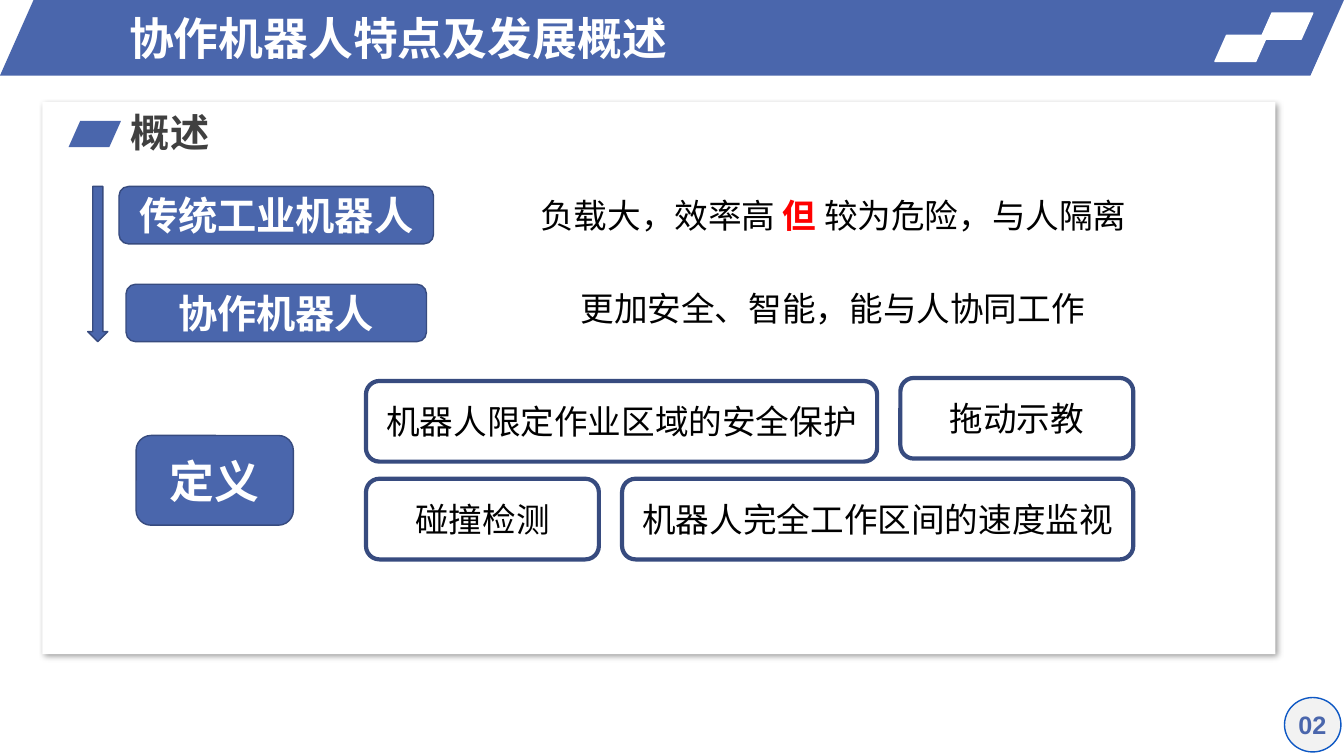
"""Builds the overview slide on collaborative robots."""
from lxml import etree
from pptx import Presentation
from pptx.dml.color import RGBColor
from pptx.enum.shapes import MSO_SHAPE
from pptx.enum.text import MSO_ANCHOR, MSO_AUTO_SIZE, PP_ALIGN
from pptx.oxml import parse_xml
from pptx.oxml.ns import nsdecls, qn
from pptx.util import Inches, Pt

SLANTED, ROUNDED = MSO_SHAPE.PARALLELOGRAM, MSO_SHAPE.ROUNDED_RECTANGLE
ARROW, OVAL = MSO_SHAPE.DOWN_ARROW, MSO_SHAPE.OVAL
TOP, MIDDLE = MSO_ANCHOR.TOP, MSO_ANCHOR.MIDDLE
LEFT, CENTER = PP_ALIGN.LEFT, PP_ALIGN.CENTER
FIXED = MSO_AUTO_SIZE.NONE

BLUE = RGBColor(0x4A, 0x66, 0xAC)
NAVY = RGBColor(0x37, 0x4B, 0x7F)
RING = RGBColor(0x0E, 0x58, 0xC4)
WHITE = RGBColor(0xFF, 0xFF, 0xFF)
PALE = RGBColor(0xF2, 0xF2, 0xF2)
DARK = RGBColor(0x40, 0x40, 0x40)
BLACK = RGBColor(0, 0, 0)
RED = RGBColor(0xFF, 0, 0)
LATIN, CJK = "Arial", "Noto Sans CJK SC"

TITLE = "协作机器人特点及发展概述"
SECTION = "概述"
PAGE = "02"
STAGES = [
    {"name": "传统工业机器人", "width": 3.12, "trait_left": 5.26, "trait_top": 1.88,
     "trait": [("负载大，效率高 ", BLACK, False), ("但", RED, True),
               (" 较为危险，与人隔离", BLACK, False)]},
    {"name": "协作机器人", "width": 2.98, "trait_left": 5.66, "trait_top": 2.81,
     "trait": [("更加安全、智能，能与人协同工作", BLACK, False)]},
]
DEFINITION = "定义"
WIDE, NARROW = 5.07, 2.31
FEATURE_ROWS = [
    [("机器人限定作业区域的安全保护", WIDE, 3.78), ("拖动示教", NARROW, 3.75)],
    [("碰撞检测", NARROW, 4.75), ("机器人完全工作区间的速度监视", WIDE, 4.75)],
]

SLIDE_W, SLIDE_H = 13.33, 7.5
HEADER_H = SLIDE_H / 10
STAGE_CENTER, STAGE_TOP, STAGE_STEP, STAGE_H = 2.74, 1.85, 0.97, 0.57
FEATURE_LEFT, FEATURE_GAP, FEATURE_H = 3.63, 0.23, 0.8
MARK_W, MARK_H = 0.52, 0.26
SHADOW = (
    f'<a:effectLst {nsdecls("a")}><a:outerShdw blurRad="{Pt(4)}" dist="{Pt(3)}" '
    'dir="2700000" algn="tl" rotWithShape="0"><a:srgbClr val="000000">'
    '<a:alpha val="40000"/></a:srgbClr></a:outerShdw></a:effectLst>'
)

deck = Presentation()
deck.slide_width, deck.slide_height = Inches(SLIDE_W), Inches(SLIDE_H)
slide = deck.slides.add_slide(deck.slide_layouts[5])


def write(holder, text, size=24, color=BLACK, bold=False, font=LATIN,
          align=LEFT, anchor=TOP):
    """Write a string, or (text, color, bold) pieces, as one paragraph."""
    frame = holder.text_frame
    frame.word_wrap, frame.auto_size, frame.vertical_anchor = True, FIXED, anchor
    paragraph = frame.paragraphs[0]
    paragraph.alignment = align
    paragraph.space_before = Pt(0)
    pieces = [(text, color, bold)] if isinstance(text, str) else text
    for words, ink, heavy in pieces:
        run = paragraph.add_run()
        run.text = words
        run.font.size, run.font.bold, run.font.name = Pt(size), heavy, font
        run.font.color.rgb = ink
        etree.SubElement(run.font._element, qn("a:ea"), typeface=CJK)


def block(preset, left, top, width, height, fill=BLUE, line=None, weight=1, adjust=None):
    """Add a filled preset shape."""
    shape = slide.shapes.add_shape(
        preset, Inches(left), Inches(top), Inches(width), Inches(height))
    shape.shadow.inherit = False
    shape.fill.solid()
    shape.fill.fore_color.rgb = fill
    if line is None:
        shape.line.fill.background()
    else:
        shape.line.color.rgb, shape.line.width = line, Pt(weight)
    if adjust is not None:
        shape.adjustments[0] = adjust
    return shape


def label(text, left, top, width, height, **style):
    """Add a text box."""
    box = slide.shapes.add_textbox(
        Inches(left), Inches(top), Inches(width), Inches(height))
    write(box, text, **style)


def build_header():
    """Draw the header band, its marks and the title."""
    block(SLANTED, 0, 0, SLIDE_W, HEADER_H, adjust=0.444)
    for left, top in [(12.5, 0.13), (12.05, 0.35)]:
        block(SLANTED, left, top, MARK_W, MARK_H, WHITE, WHITE, adjust=0.444)
    title = slide.shapes.title
    title.left, title.top = Inches(1.18), Inches(0.05)
    title.width, title.height = Inches(7.74), Inches(0.65)
    write(title, TITLE, size=32, color=WHITE, bold=True, anchor=MIDDLE)
    slide.shapes._spTree.append(title._element)


def build_card():
    """Draw the card, its heading and the page number."""
    card = block(MSO_SHAPE.RECTANGLE, 0.42, 1.01, 12.23, 5.48, WHITE)
    properties = card._element.spPr
    properties.replace(properties.find(qn("a:effectLst")), parse_xml(SHADOW))
    block(SLANTED, 0.68, 1.2, MARK_W, MARK_H, adjust=0.444)
    label(SECTION, 1.2, 1.03, 2.04, 0.57, size=28, color=DARK, bold=True)
    block(OVAL, 12.74, 6.92, 0.56, 0.54, PALE, RING)
    label(PAGE, 12.59, 6.99, 0.85, 0.4, size=18, color=BLUE, bold=True, align=CENTER)


def build_stages():
    """Draw the two robot generations and the arrow between them."""
    for row, stage in enumerate(STAGES):
        pill = block(ROUNDED, STAGE_CENTER - stage["width"] / 2,
                     STAGE_TOP + row * STAGE_STEP, stage["width"], STAGE_H, line=NAVY)
        write(pill, stage["name"], size=28, color=WHITE, bold=True, font=CJK,
              align=CENTER, anchor=MIDDLE)
        left = stage["trait_left"]
        label(stage["trait"], left, stage["trait_top"], SLIDE_W - left, 0.5)
    block(ARROW, 0.87, STAGE_TOP, 0.2, STAGE_STEP + STAGE_H, line=NAVY)


def build_definition():
    """Draw the definition and its features in two packed rows."""
    heading = block(ROUNDED, 1.35, 4.32, 1.56, 0.89, line=NAVY)
    write(heading, DEFINITION, size=32, color=WHITE, bold=True,
          align=CENTER, anchor=MIDDLE)
    for features in FEATURE_ROWS:
        left = FEATURE_LEFT
        for text, width, top in features:
            feature = block(ROUNDED, left, top, width, FEATURE_H, WHITE, NAVY, 3)
            write(feature, text, font=CJK, align=CENTER, anchor=MIDDLE)
            left += width + FEATURE_GAP


if __name__ == "__main__":
    build_header()
    build_card()
    build_stages()
    build_definition()
    deck.save("out.pptx")
